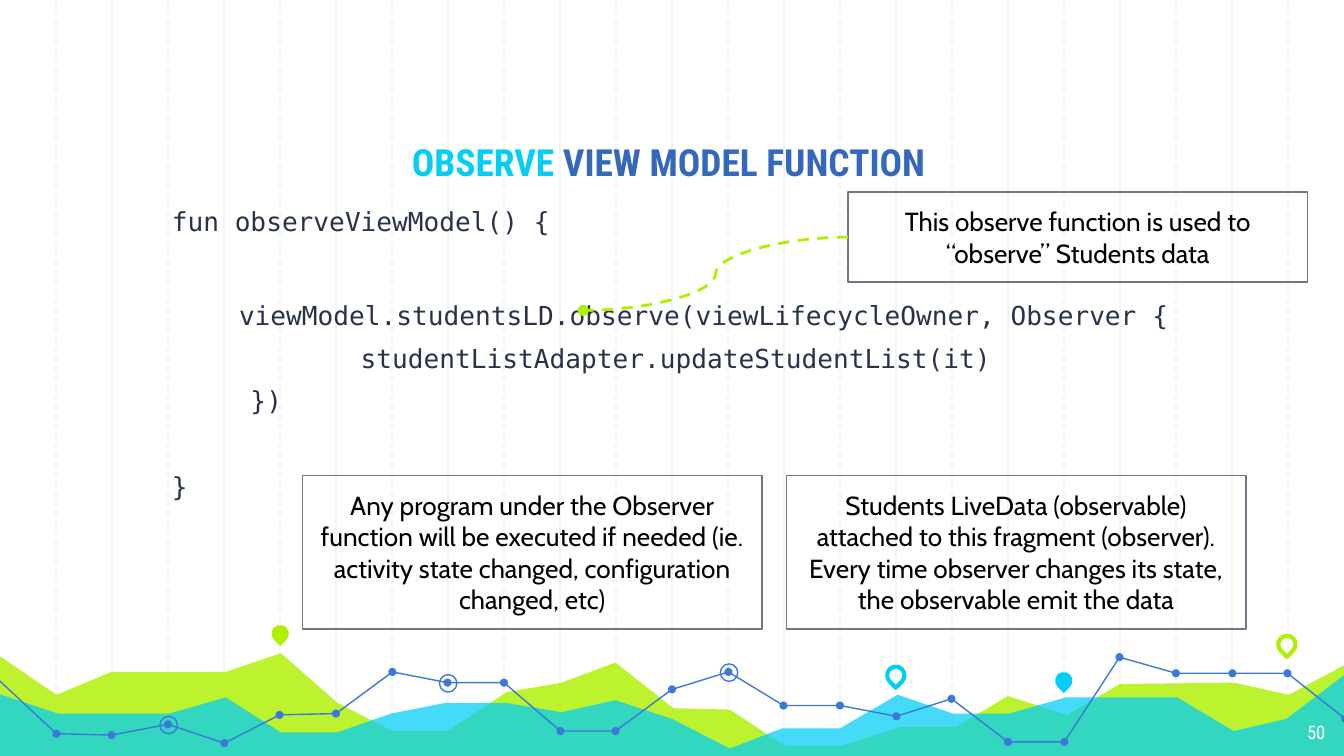
"""Build the "Observe view model function" slide with its code listing and callouts."""
from pptx import Presentation
from pptx.dml.color import RGBColor
from pptx.enum.dml import MSO_LINE
from pptx.enum.shapes import MSO_CONNECTOR, MSO_SHAPE
from pptx.enum.text import MSO_ANCHOR, MSO_AUTO_SIZE, PP_ALIGN
from pptx.oxml.ns import qn
from pptx.util import Emu, Pt
from lxml.etree import SubElement

PX = 9144
WIDTH, HEIGHT = 1000, 562.5
LIME, CYAN, BLUE, GRID = "AFF000", "00CEF6", "3C78D8", "F3F3F3"
HEADING, CODE, BODY = "Roboto Condensed", "DejaVu Sans Mono", "Cabin"

TITLE = [("OBSERVE ", CYAN), ("VIEW MODEL FUNCTION", "3468BC")]
CODE_LINES = [
    ("fun observeViewModel() {", 0),
    ("\tviewModel.studentsLD.observe(viewLifecycleOwner, Observer {", 33.6),
    ("            studentListAdapter.updateStudentList(it)", 6),
    ("     })", 6),
    ("}", 28.8),
]
CALLOUTS = [
    ("Any program under the Observer function will be executed if needed "
     "(ie. activity state changed, configuration changed, etc)", (225, 354, 342, 114)),
    ("Students LiveData (observable) attached to this fragment (observer). "
     "Every time observer changes its state, the observable emit the data",
     (585, 354, 342, 114)),
    ("This observe function is used to “observe” Students data", (631, 143, 342, 67)),
]
HILLS = [
    (LIME, 82, [
        (-2, 487), (42, 517), (83, 500), (168, 500), (209, 486), (251, 523), (292, 544),
        (333, 544), (377, 515), (418, 508), (458, 493), (501, 527), (543, 528), (584, 555),
        (626, 555), (670, 541), (711, 541), (750, 518), (794, 532), (833, 509), (918, 508),
        (959, 517), (1002, 494), (1001, 564), (-3, 564)]),
    (CYAN, 73, [
        (-2, 516), (43, 531), (126, 531), (168, 519), (209, 545), (251, 545), (291, 531),
        (332, 523), (376, 523), (418, 530), (458, 521), (500, 535), (543, 557), (582, 542),
        (625, 542), (668, 517), (709, 531), (751, 531), (793, 519), (876, 519), (918, 544),
        (957, 535), (1002, 501), (1002, 565), (-3, 565)]),
]
TREND = [
    (-1, 506), (42, 546), (83, 547), (125, 539), (167, 553), (208, 532), (250, 531),
    (292, 500), (333, 508), (375, 508), (417, 544), (458, 544), (500, 513), (542, 500),
    (583, 525), (625, 525), (667, 533), (708, 520), (750, 552), (792, 552), (833, 489),
    (875, 501), (917, 501), (958, 501), (1001, 535)]
TREND_SECTIONS = [(0, 11), (11, 20), (20, 24)]
RINGED = [3, 8, 13]
PINS = [(202, 465, LIME, True), (660, 496, CYAN, False),
        (785, 500, CYAN, True), (951, 473, LIME, False)]


def px(*lengths):
    return [Emu(round(length * PX)) for length in lengths]


def rgb(color):
    return RGBColor.from_string(color)


def paint(shape, fill=None, line=None, weight=0.75, opacity=100):
    shape.shadow.inherit = False
    if fill:
        shape.fill.solid()
        shape.fill.fore_color.rgb = rgb(fill)
        if opacity < 100:
            swatch = shape.fill._xPr.find(".//" + qn("a:srgbClr"))
            SubElement(swatch, qn("a:alpha"), val=str(opacity * 1000))
    else:
        shape.fill.background()
    if line:
        shape.line.color.rgb = rgb(line)
        shape.line.width = Pt(weight)
    else:
        shape.line.fill.background()
    return shape


def add_preset(slide, preset, box, **style):
    return paint(slide.shapes.add_shape(preset, *px(*box)), **style)


def add_path(slide, points, close, **style):
    builder = slide.shapes.build_freeform(*points[0], scale=PX)
    builder.add_line_segments(points[1:], close=close)
    return paint(builder.convert_to_shape(), **style)


def add_line(slide, kind, ends, color, weight, dashed):
    line = slide.shapes.add_connector(kind, *px(*ends))
    SubElement(line._element.spPr, qn("a:effectLst"))
    line.line.color.rgb = rgb(color)
    line.line.width = Pt(weight)
    if dashed:
        line.line.dash_style = MSO_LINE.DASH
    return line


def format_frame(frame, anchor=MSO_ANCHOR.TOP):
    frame.word_wrap = True
    frame.vertical_anchor = anchor
    inset, = px(10)
    frame.margin_left = frame.margin_right = frame.margin_top = frame.margin_bottom = inset


def format_text(paragraph, font, size, color, align):
    paragraph.alignment = align
    for run in paragraph.runs:
        run.font.name = font
        run.font.size = Pt(size)
        run.font.color.rgb = rgb(color)


def draw_background(slide):
    for step in range(1, 24):
        x = WIDTH * step / 24
        add_line(slide, MSO_CONNECTOR.STRAIGHT, (x, 0, x, 565), GRID, 0.75, step % 2 == 1)
    for color, opacity, outline in HILLS:
        add_path(slide, outline, True, fill=color, opacity=opacity)
    for x, y, color, solid in PINS:
        style = {"fill": color} if solid else {"line": color, "weight": 2.25}
        add_preset(slide, MSO_SHAPE.TEAR, (x, y, 13, 13), **style).rotation = 135
    for first, last in TREND_SECTIONS:
        add_path(slide, TREND[first:last + 1], False, line=BLUE)
    for x, y in TREND[1:]:
        add_preset(slide, MSO_SHAPE.OVAL, (x - 3, y - 3, 6, 6), fill=BLUE)
    for x, y in (TREND[index] for index in RINGED):
        add_preset(slide, MSO_SHAPE.OVAL, (x - 6, y - 6, 13, 13), line=BLUE)


def place_title(slide):
    title = slide.shapes.title
    title.left, title.top, title.width, title.height = px(115, 69, 765, 78)
    format_frame(title.text_frame, MSO_ANCHOR.BOTTOM)
    heading = title.text_frame.paragraphs[0]
    for words, color in TITLE:
        run = heading.add_run()
        run.text = words
        run.font.bold = True
    format_text(heading, HEADING, 20, CYAN, PP_ALIGN.CENTER)
    for run, (_, color) in zip(heading.runs, TITLE):
        run.font.color.rgb = rgb(color)
    slide.shapes._spTree.append(title._element)


def add_code(slide):
    frame = slide.shapes.add_textbox(*px(118, 143, 825, 210)).text_frame
    format_frame(frame)
    frame.text = "\n".join(text for text, _ in CODE_LINES)
    for paragraph, (_, gap) in zip(frame.paragraphs, CODE_LINES):
        paragraph.space_before = Pt(gap)
        format_text(paragraph, CODE, 14, "28324A", PP_ALIGN.LEFT)


def add_callout(slide, text, box):
    callout = add_preset(slide, MSO_SHAPE.RECTANGLE, box, line="707685")
    format_frame(callout.text_frame)
    callout.text_frame.auto_size = MSO_AUTO_SIZE.SHAPE_TO_FIT_TEXT
    callout.text_frame.text = text
    format_text(callout.text_frame.paragraphs[0], BODY, 14, "000000", PP_ALIGN.CENTER)
    return callout


def main():
    deck = Presentation()
    deck.slide_width, deck.slide_height = px(WIDTH, HEIGHT)
    slide = deck.slides.add_slide(deck.slide_layouts[5])
    draw_background(slide)
    place_title(slide)
    page = slide.shapes.add_textbox(*px(936, 528, 60, 35)).text_frame
    format_frame(page)
    page.text = "50"
    format_text(page.paragraphs[0], HEADING, 10, "FFFFFF", PP_ALIGN.RIGHT)
    add_code(slide)
    callouts = [add_callout(slide, text, box) for text, box in CALLOUTS]
    pointer = add_line(slide, MSO_CONNECTOR.CURVE, (631, 177, 434, 231), LIME, 1.5, True)
    pointer.begin_connect(callouts[-1], 1)
    SubElement(pointer.line._get_or_add_ln(), qn("a:tailEnd"), type="oval")
    deck.save("out.pptx")


if __name__ == "__main__":
    main()
